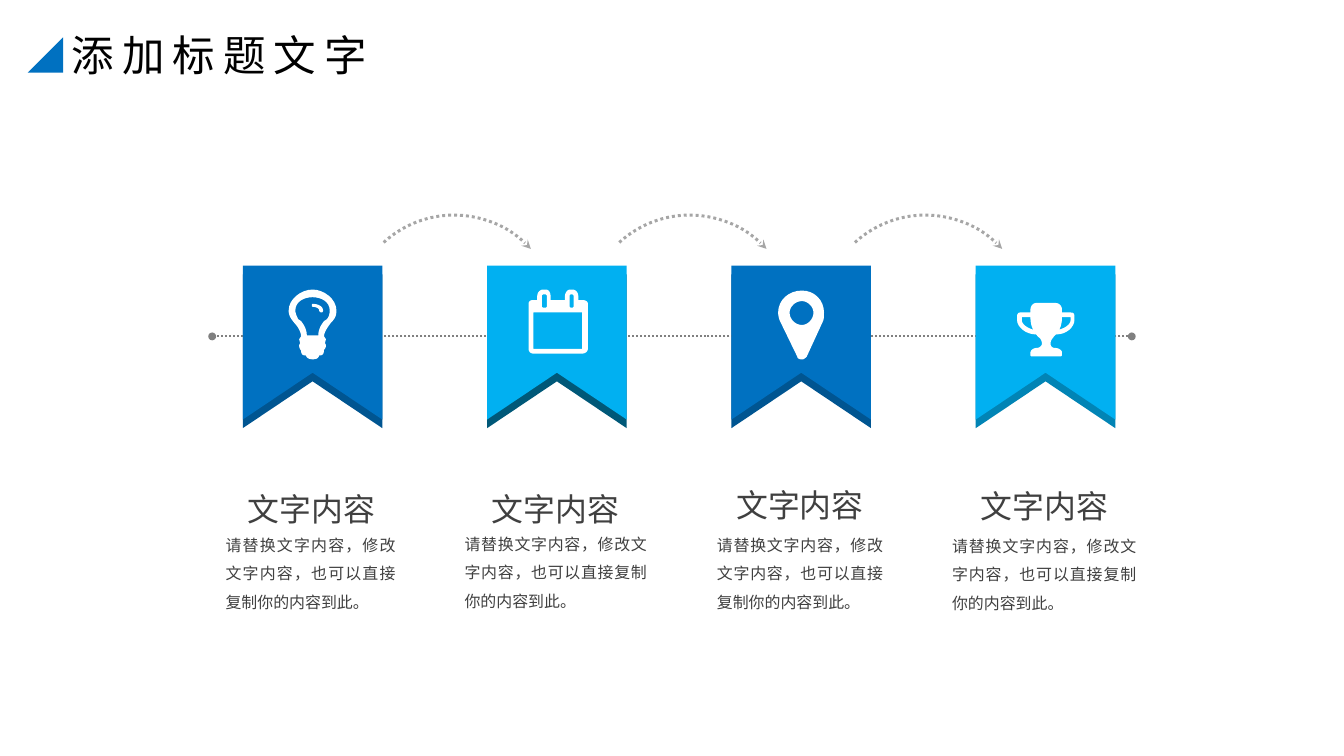
import pptx
import pptx.util
import pptx.dml.color
import pptx.enum.dml
import pptx.enum.lang
import pptx.enum.shapes
import pptx.enum.text
import pptx.oxml

# Content
HEADLINE = "添加标题文字"
HEADING = "文字内容"
BODY = "请替换文字内容，修改文字内容，也可以直接复制你的内容到此。"
COLORS = {"blue": "0071C1", "sky": "01B0F1", "blue_shade": "005591",
          "teal_shade": "005878", "sky_shade": "0184B5", "axis": "808080",
          "arc": "A6A6A6", "text": "404040", "title": "000000", "white": "FFFFFF"}

# Icon outlines in hundredths of an inch: a pair is a line, six numbers a curve
BULB = [
    [(44, 35), (42, 38, 37, 44, 37, 49), (39, 52), (38, 56), (39, 58),
     (39, 61, 38, 62, 37, 63), (37, 68, 35, 69, 32, 69), (31, 72, 29, 73, 25, 73),
     (22, 73, 19, 72, 18, 69), (15, 69, 13, 68, 13, 64), (11, 61, 11, 60, 11, 58),
     (12, 56), (11, 52), (13, 49), (13, 44, 9, 38, 6, 35), (3, 31, 0, 28, 0, 22),
     (0, 10, 13, 0, 25, 0), (37, 0, 50, 10, 50, 22), (50, 28, 48, 31, 44, 35)],
    [(25, 8), (17, 8, 7, 12, 7, 22), (7, 25, 9, 29, 10, 31), (13, 33),
     (17, 38, 19, 43, 19, 48), (31, 48), (31, 43, 33, 38, 37, 33), (40, 31),
     (42, 29, 43, 25, 43, 22), (43, 12, 33, 8, 25, 8)],
    [(35, 24), (33, 24, 32, 23, 32, 22), (32, 19, 27, 18, 25, 18),
     (24, 18, 24, 15, 25, 15), (30, 15, 36, 17, 36, 22), (36, 23, 35, 24, 35, 24)],
]
CALENDAR = [
    [(62, 62), (62, 65, 59, 67, 56, 67), (5, 67), (2, 67, 0, 65, 0, 62), (0, 15),
     (0, 12, 2, 11, 5, 11), (9, 11), (9, 7), (9, 3, 12, 0, 15, 0), (18, 0),
     (21, 0, 23, 3, 23, 7), (23, 11), (38, 11), (38, 7), (38, 3, 41, 0, 43, 0),
     (46, 0), (49, 0, 52, 3, 52, 7), (52, 11), (56, 11), (59, 11, 62, 12, 62, 15)],
    [(5, 24), (56, 24), (56, 62), (5, 62)],
    [(14, 6), (15, 5), (18, 5), (19, 6), (19, 18), (18, 19), (15, 19), (14, 18)],
    [(43, 6), (44, 5), (46, 5), (47, 6), (47, 18), (46, 19), (44, 19), (43, 18)],
]
PIN = [
    [(47, 32), (30, 69), (28, 71, 27, 72, 25, 72), (22, 72, 20, 71, 20, 69), (2, 32),
     (1, 30, 0, 26, 0, 23), (0, 10, 11, 0, 25, 0), (38, 0, 48, 10, 48, 23),
     (48, 26, 48, 30, 47, 32)],
    [(25, 11), (18, 11, 12, 17, 12, 23), (12, 30, 18, 36, 25, 36),
     (31, 36, 37, 30, 37, 23), (37, 17, 31, 11, 25, 11)],
]
TROPHY = [
    [(60, 18), (60, 25, 52, 33, 41, 33), (39, 34, 38, 36, 38, 36),
     (36, 38, 35, 40, 35, 43), (35, 44, 36, 47, 39, 47), (43, 47, 47, 49, 47, 52),
     (47, 55), (46, 56), (15, 56), (14, 55), (14, 52), (14, 49, 18, 47, 21, 47),
     (24, 47, 26, 44, 26, 43), (26, 40, 25, 38, 23, 36), (22, 36, 21, 34, 20, 33),
     (9, 33, 0, 25, 0, 18), (0, 14), (0, 11, 2, 10, 3, 10), (14, 10), (14, 7),
     (14, 3, 17, 0, 20, 0), (40, 0), (44, 0, 47, 3, 47, 7), (47, 10), (56, 10),
     (59, 10, 60, 11, 60, 14)],
    [(14, 15), (5, 15), (5, 18), (5, 22, 10, 26, 17, 28), (15, 25, 14, 20, 14, 15)],
    [(56, 15), (47, 15), (47, 20, 46, 25, 44, 28), (51, 26, 56, 22, 56, 18)],
]

# ribbon, shade, icon, icon corner, heading top, body left, body top, body width
STEPS = [
    ("blue", "blue_shade", BULB, (3.02, 3.03), 5.12, 2.36, 5.5, 1.78),
    ("sky", "teal_shade", CALENDAR, (5.53, 3.03), 5.12, 4.86, 5.49, 1.91),
    ("blue", "blue_shade", PIN, (8.14, 3.04), 5.08, 7.5, 5.5, 1.74),
    ("sky", "sky_shade", TROPHY, (10.64, 3.17), 5.09, 9.96, 5.51, 1.93),
]

# Grid, in inches
LEFT, TOP, PITCH = 2.54, 2.78, 2.556
RIBBON_W, RIBBON_H, NOTCH, SHADE_DROP = 1.46, 1.61, 0.49, 0.09
ARC_LEFT, ARC_TOP, ARC_PITCH, ARC_SIZE = 3.66, 2.25, 2.465, 2.18
RIBBON = [[(0, 0), (RIBBON_W, 0), (RIBBON_W, RIBBON_H),
           (RIBBON_W / 2, RIBBON_H - NOTCH), (0, RIBBON_H)]]
INCH = pptx.util.Inches

deck = pptx.Presentation()
deck.slide_width, deck.slide_height = INCH(14.06), INCH(7.91)
slide = deck.slides.add_slide(deck.slide_layouts[5])
shapes = slide.shapes


def rgb(name):
    return pptx.dml.color.RGBColor.from_string(COLORS[name])


def flatten(contour, samples=8):
    """Turn the curves of a contour into short straight steps."""
    points = [contour[0]]
    for segment in contour[1:]:
        if len(segment) == 2:
            points.append(segment)
            continue
        controls = [points[-1], segment[:2], segment[2:4], segment[4:]]
        for step in range(1, samples + 1):
            t = step / samples
            weights = ((1 - t) ** 3, 3 * t * (1 - t) ** 2, 3 * t * t * (1 - t), t ** 3)
            points.append(tuple(sum(w * c[axis] for w, c in zip(weights, controls))
                                for axis in (0, 1)))
    return points


def add_outline(contours, left, top, color, unit=1.0):
    outlines = [[(INCH(x * unit), INCH(y * unit)) for x, y in flatten(contour)]
                for contour in contours]
    builder = shapes.build_freeform(*outlines[0][0], scale=1.0)
    builder.add_line_segments(outlines[0][1:], close=True)
    for outline in outlines[1:]:
        builder.move_to(*outline[0])
        builder.add_line_segments(outline[1:], close=True)
    paint(builder.convert_to_shape(INCH(left), INCH(top)), color)


def paint(shape, color):
    shape.shadow.inherit = False
    shape.fill.solid()
    shape.fill.fore_color.rgb = rgb(color)
    shape.line.fill.background()


def dot_line(shape, color, width, **ends):
    shape.line.color.rgb = rgb(color)
    shape.line.width = pptx.util.Pt(width)
    shape.line.dash_style = pptx.enum.dml.MSO_LINE.ROUND_DOT
    line = shape.line._get_or_add_ln()
    for end in ends:
        pptx.oxml.ns.qn("a:" + end)
        line.append(pptx.oxml.parse_xml(
            f'<a:{end} {pptx.oxml.ns.nsdecls("a")} type="{ends[end]}"/>'))


def write(box, text, size, color, align, wrap=False, inset=0.0, spacing=1.0):
    frame = box.text_frame
    frame.text = text
    frame.word_wrap = wrap
    frame.auto_size = pptx.enum.text.MSO_AUTO_SIZE.NONE
    frame.vertical_anchor = pptx.enum.text.MSO_ANCHOR.TOP
    frame.margin_left = frame.margin_right = INCH(inset)
    frame.margin_top = frame.margin_bottom = INCH(inset / 2)
    paragraph = frame.paragraphs[0]
    paragraph.alignment = align
    paragraph.line_spacing = spacing
    font = paragraph.runs[0].font
    font.name, font.size = "Arial", pptx.util.Pt(size)
    font.color.rgb = rgb(color)
    font.language_id = pptx.enum.lang.MSO_LANGUAGE_ID.SIMPLIFIED_CHINESE
    return paragraph.runs[0]


def place(left, top, width, height):
    return [INCH(value) for value in (left, top, width, height)]


# Title and corner triangle
ALIGN = pptx.enum.text.PP_ALIGN
title = shapes.title
title.left, title.top, title.width, title.height = place(0.65, 0.25, 3.4, 0.64)
title_run = write(title, HEADLINE, 32, "title", ALIGN.LEFT, inset=0.1)
title_run.font._element.set("spc", "600")
corner = shapes.add_shape(pptx.enum.shapes.MSO_SHAPE.RIGHT_TRIANGLE,
                          *place(0.29, 0.39, 0.37, 0.37))
corner.rotation = 270
paint(corner, "blue")

# Ribbon shades, then the dotted axis, then the ribbons
for column, step in enumerate(STEPS):
    add_outline(RIBBON, LEFT + column * PITCH, TOP + SHADE_DROP, step[1])
axis_line = shapes.add_connector(pptx.enum.shapes.MSO_CONNECTOR.STRAIGHT,
                                 INCH(11.84), INCH(3.52), INCH(2.22), INCH(3.52))
dot_line(axis_line, "axis", 1.5, headEnd="oval", tailEnd="oval")
axis_line._element.spPr.append(pptx.oxml.parse_xml(
    f'<a:effectLst {pptx.oxml.ns.nsdecls("a")}/>'))
for column, step in enumerate(STEPS):
    add_outline(RIBBON, LEFT + column * PITCH, TOP, step[0])

# Arrows from step to step
for gap in range(len(STEPS) - 1):
    arrow = shapes.add_shape(pptx.enum.shapes.MSO_SHAPE.ARC, *place(
        ARC_LEFT + gap * ARC_PITCH, ARC_TOP, ARC_SIZE, ARC_SIZE))
    arrow.rotation = 317.5
    arrow.shadow.inherit = False
    arrow.fill.background()
    dot_line(arrow, "arc", 2.25, tailEnd="stealth")

# Captions and icons
for column, (_, _, icon, corner_at, heading_top, left, top, width) in enumerate(STEPS):
    heading = shapes.add_textbox(*place(2.59 + column * PITCH, heading_top, 1.35, 0.4))
    write(heading, HEADING, 24, "text", ALIGN.JUSTIFY)
    body = shapes.add_textbox(*place(left, top, width, 0.87))
    write(body, BODY, 12, "text", ALIGN.JUSTIFY, wrap=True, spacing=1.5)
    add_outline(icon, *corner_at, "white", unit=0.01)

deck.save("out.pptx")
